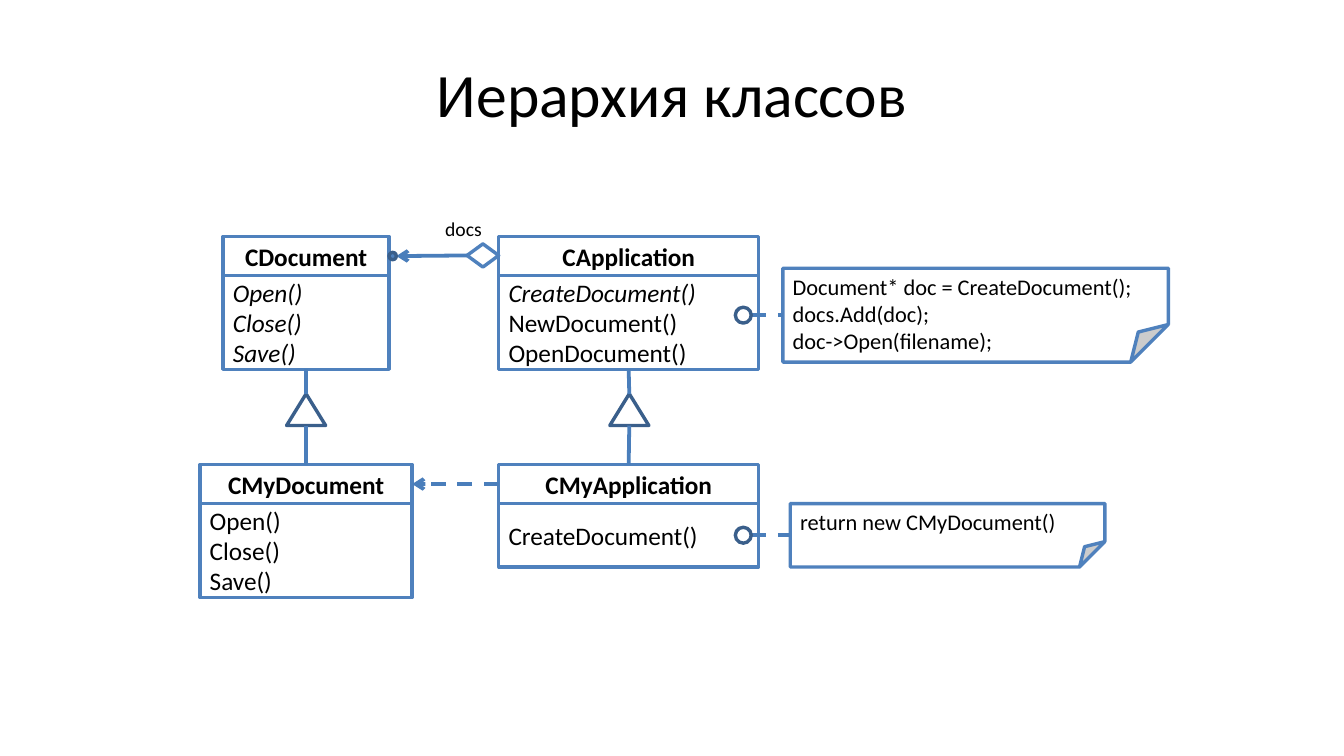
from lxml import etree
from pptx import Presentation
from pptx import util as u
from pptx.dml.color import RGBColor
from pptx.enum import dml, shapes, text
from pptx.oxml.ns import qn

COLORS = {"white": "FFFFFF", "black": "000000", "border": "4F81BD",
          "symbol": "3A5F8B", "link": "4A7EBB"}
KINDS = shapes.MSO_SHAPE
ALIGN = text.PP_ALIGN
ANCHOR = text.MSO_ANCHOR
TOP, LEFT, BOTTOM, RIGHT = range(4)
HEAD_HEIGHT = 0.32
TRIANGLE_WIDTH, TRIANGLE_HEIGHT = 0.32, 0.26
CIRCLE = 0.13
CIRCLE_LEFT = 6.03


def color(name):
    return RGBColor.from_string(COLORS[name])


def set_values(target, values):
    for name, value in values.items():
        setattr(target, name, value)


def write(shape, lines, size, anchor=ANCHOR.TOP, align=ALIGN.LEFT,
          bold=False, italics=(), inset=(0.08, 0.04)):
    """Fill a shape with one paragraph per line; italics holds the italic lines."""
    frame = shape.text_frame
    across, down = map(u.Inches, inset)
    set_values(frame, {"word_wrap": True, "vertical_anchor": anchor,
                       "margin_left": across, "margin_right": across,
                       "margin_top": down, "margin_bottom": down})
    for index, line in enumerate(lines):
        paragraph = frame.add_paragraph() if index else frame.paragraphs[0]
        paragraph.alignment = align
        run = paragraph.add_run()
        run.text = line
        set_values(run.font, {"name": "Calibri", "size": u.Pt(size),
                              "bold": bold, "italic": line in italics})
        run.font.color.rgb = color("black")


def add_text(slide, box, line, size, **options):
    shape = slide.shapes.add_textbox(*map(u.Inches, box))
    write(shape, [line], size, **options)
    return shape


def add_shape(slide, kind, box, fill="white", line="border"):
    shape = slide.shapes.add_shape(kind, *map(u.Inches, box))
    shape.shadow.inherit = False
    if fill:
        shape.fill.solid()
        shape.fill.fore_color.rgb = color(fill)
    else:
        shape.fill.background()
    shape.line.color.rgb = color(line)
    shape.line.width = u.Pt(2)
    return shape


def add_class(slide, left, top, width, body_height, name, methods, italics=()):
    """Draw a class as a name box above a method box; return both."""
    head = add_shape(slide, KINDS.RECTANGLE, (left, top, width, HEAD_HEIGHT))
    write(head, [name], 14.9, ANCHOR.MIDDLE, ALIGN.CENTER, bold=True)
    body = add_shape(slide, KINDS.RECTANGLE,
                     (left, top + HEAD_HEIGHT, width, body_height))
    write(body, methods, 14.9, ANCHOR.MIDDLE, italics=italics)
    return head, body


def add_link(slide, start, end, begin=None, finish=None, dashed=False, arrow=False):
    """Draw a line; begin and finish are (shape, side) pairs to join."""
    link = slide.shapes.add_connector(shapes.MSO_CONNECTOR.STRAIGHT,
                                      *map(u.Inches, (*start, *end)))
    if begin:
        link.begin_connect(*begin)
    if finish:
        link.end_connect(*finish)
    link.line.color.rgb = color("link")
    link.line.width = u.Pt(2.25)
    if dashed:
        link.line.dash_style = dml.MSO_LINE.DASH
    properties = link._element.spPr
    if arrow:
        etree.SubElement(properties.find(qn("a:ln")), qn("a:tailEnd"), type="arrow")
    etree.SubElement(properties, qn("a:effectLst"))


def add_inheritance(slide, parent_body, child_head, center):
    top = 3.23
    bottom = top + TRIANGLE_HEIGHT
    triangle = add_shape(slide, KINDS.ISOSCELES_TRIANGLE,
                         (center - TRIANGLE_WIDTH / 2, top,
                          TRIANGLE_WIDTH, TRIANGLE_HEIGHT),
                         fill=None, line="symbol")
    add_link(slide, (center, 3.03), (center, top),
             (parent_body, BOTTOM), (triangle, TOP))
    add_link(slide, (center, bottom), (center, 3.81), finish=(child_head, TOP))


def set_fold(note, ratio):
    adjustments = note._element.spPr.find(qn("a:prstGeom")).find(qn("a:avLst"))
    etree.SubElement(adjustments, qn("a:gd"), name="adj",
                     fmla=f"val {round(ratio * 100000)}")


def add_note(slide, box, lines):
    """Draw a folded note tied by a dashed line to a small circle."""
    note = add_shape(slide, KINDS.FOLDED_CORNER, box)
    set_fold(note, 0.4)
    write(note, lines, 13.2)
    left, top, _, height = box
    middle = top + height / 2
    add_link(slide, (CIRCLE_LEFT + CIRCLE, middle), (left, middle),
             finish=(note, LEFT), dashed=True)
    add_shape(slide, KINDS.OVAL,
              (CIRCLE_LEFT, middle - CIRCLE / 2, CIRCLE, CIRCLE),
              fill=None, line="symbol")


def main():
    presentation = Presentation()
    presentation.slide_width = u.Inches(11.02)
    presentation.slide_height = u.Inches(6.2)
    slide = presentation.slides.add_slide(presentation.slide_layouts[6])

    add_text(slide, (1.79, 0.25, 7.44, 1.03), "Иерархия классов", 36.4,
             anchor=ANCHOR.MIDDLE, align=ALIGN.CENTER, inset=(0.1, 0.05))

    file_methods = ["Open()", "Close()", "Save()"]
    _, document_body = add_class(
        slide, 1.83, 1.94, 1.36, 0.77, "CDocument", file_methods, file_methods)
    _, application_body = add_class(
        slide, 4.09, 1.94, 2.13, 0.77, "CApplication",
        ["CreateDocument()", "NewDocument()", "OpenDocument()"],
        ["CreateDocument()"])
    my_document_head, _ = add_class(
        slide, 1.64, 3.81, 1.74, 0.77, "CMyDocument", file_methods)
    my_application_head, _ = add_class(
        slide, 4.09, 3.81, 2.13, 0.52, "CMyApplication", ["CreateDocument()"])

    add_inheritance(slide, document_body, my_document_head, 2.51)
    add_inheritance(slide, application_body, my_application_head, 5.16)
    add_link(slide, (4.09, 3.97), (3.38, 3.97), (my_application_head, LEFT),
             (my_document_head, RIGHT), dashed=True, arrow=True)

    diamond = add_shape(slide, KINDS.DIAMOND, (3.83, 2, 0.26, 0.19))
    add_link(slide, (3.83, 2.1), (3.25, 2.1), (diamond, LEFT), arrow=True)
    add_shape(slide, KINDS.OVAL, (3.19, 2.07, 0.06, 0.06), "border", "symbol")
    label = add_text(slide, (3.57, 1.74, 0.58, 0.27), "docs", 11.6)
    label.text_frame.auto_size = text.MSO_AUTO_SIZE.SHAPE_TO_FIT_TEXT

    add_note(slide, (6.42, 2.2, 3.16, 0.77),
             ["Document* doc = CreateDocument();", "docs.Add(doc);",
              "doc->Open(filename);"])
    add_note(slide, (6.48, 4.13, 2.58, 0.52), ["return new CMyDocument()"])

    presentation.save("out.pptx")


if __name__ == "__main__":
    main()
